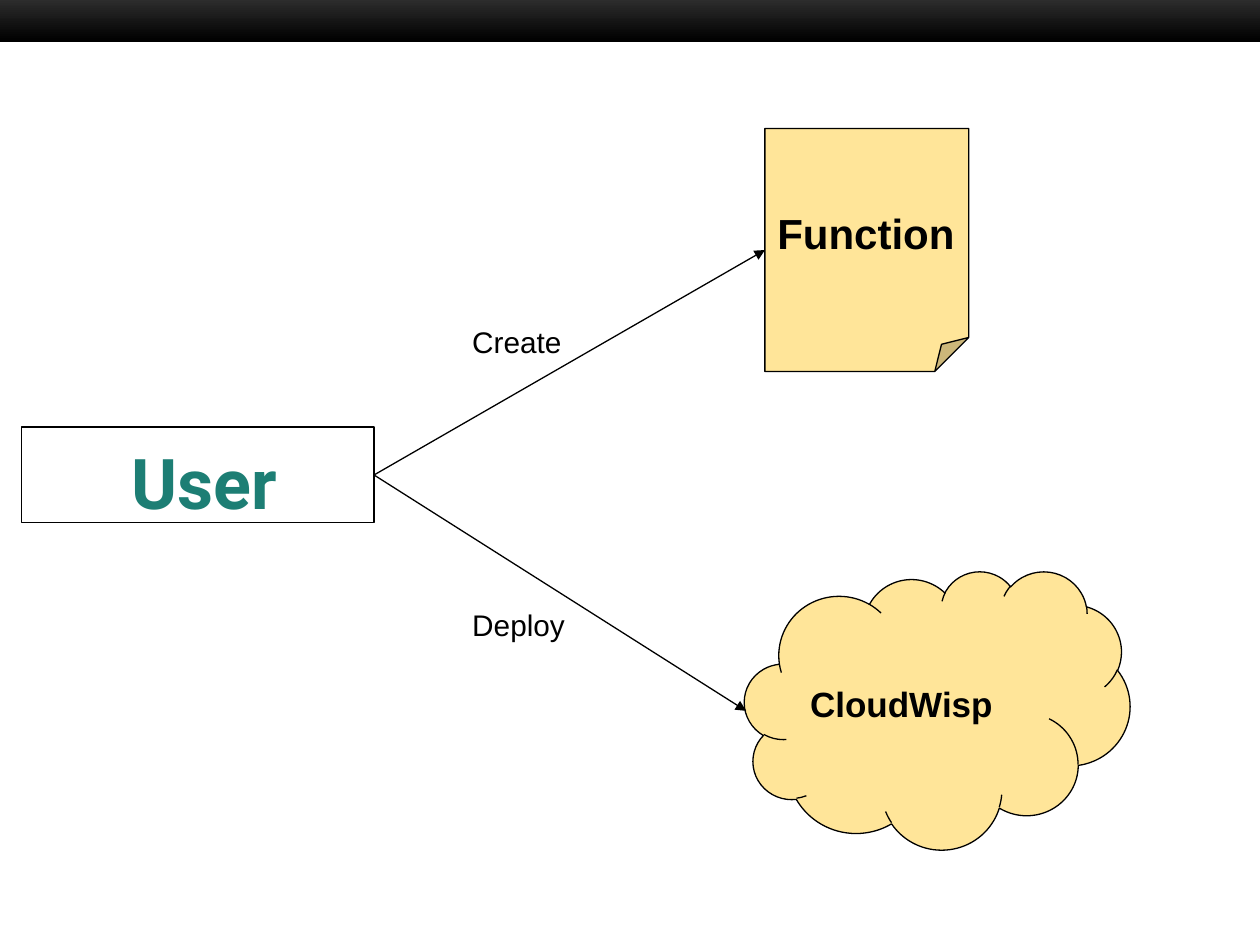
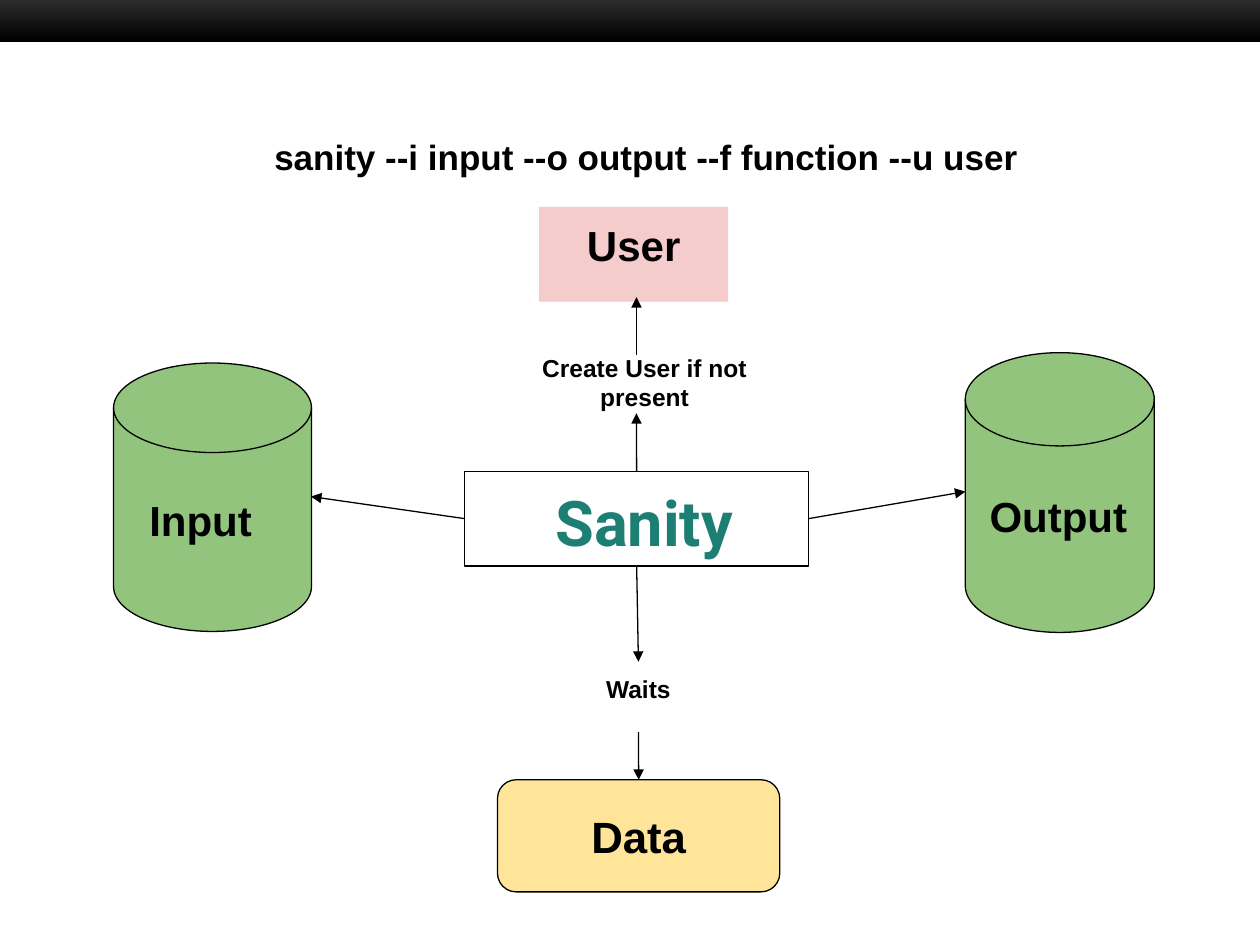
from lxml.etree import SubElement
from pptx import Presentation
from pptx.dml.color import RGBColor
from pptx.enum.shapes import MSO_CONNECTOR, MSO_SHAPE
from pptx.enum.text import MSO_ANCHOR, PP_ALIGN
from pptx.oxml.ns import qn
from pptx.util import Cm, Pt

BLACK = RGBColor(0x00, 0x00, 0x00)
WHITE = RGBColor(0xFF, 0xFF, 0xFF)
CHARCOAL = RGBColor(0x33, 0x33, 0x33)
TEAL = RGBColor(0x1D, 0x7E, 0x74)
YELLOW = RGBColor(0xFF, 0xE5, 0x99)
GREEN = RGBColor(0x93, 0xC4, 0x7D)
PINK = RGBColor(0xF4, 0xCC, 0xCC)

SLIDE_WIDTH, SLIDE_HEIGHT = 25.4, 19.05
INSET = 0.25
LINE_WIDTH = Pt(0.75)

# Connection sites of a rectangle
TOP, LEFT, BOTTOM, RIGHT = range(4)


def write_text(shape, text, size=24, bold=True, color=BLACK, font="Arial",
               align=PP_ALIGN.LEFT, anchor=MSO_ANCHOR.TOP, indent=0):
    """Fill a shape with one paragraph; indent is in centimetres."""
    frame = shape.text_frame
    frame.word_wrap = True
    frame.vertical_anchor = anchor
    frame.margin_left = Cm(INSET + indent)
    frame.margin_top = frame.margin_right = frame.margin_bottom = Cm(INSET)
    paragraph = frame.paragraphs[0]
    paragraph.alignment = align
    run = paragraph.add_run()
    run.text = text
    run.font.name = font
    run.font.size = Pt(size)
    run.font.bold = bold
    run.font.color.rgb = color


def add_box(slide, kind, place, fill=None, line=BLACK):
    """Add a preset shape; place is left, top, width, height in centimetres."""
    shape = slide.shapes.add_shape(kind, *map(Cm, place))
    shape.shadow.inherit = False
    if fill is None:
        shape.fill.background()
    else:
        shape.fill.solid()
        shape.fill.fore_color.rgb = fill
    if line is None:
        shape.line.fill.background()
    else:
        shape.line.color.rgb = line
        shape.line.width = LINE_WIDTH
    return shape


def add_node(slide, kind, place, text, fill, **text_format):
    """Add a filled shape with a vertically centred label."""
    shape = add_box(slide, kind, place, fill)
    write_text(shape, text, anchor=MSO_ANCHOR.MIDDLE, **text_format)
    return shape


def add_actor(slide, place, text, size, indent):
    """Add the outlined box that the arrows of a slide start from."""
    shape = add_box(slide, MSO_SHAPE.RECTANGLE, place)
    write_text(shape, text, size=size, color=TEAL, font="Roboto", indent=indent)
    return shape


def add_label(slide, place, text, **text_format):
    label = slide.shapes.add_textbox(*map(Cm, place))
    write_text(label, text, **text_format)
    return label


def add_arrow(slide, start, end):
    """Each end is a (shape, site) pair or an (x, y) point in centimetres."""
    points = [(0, 0) if hasattr(first, "shape_id") else (first, second)
              for first, second in (start, end)]
    arrow = slide.shapes.add_connector(
        MSO_CONNECTOR.STRAIGHT, *[Cm(value) for point in points for value in point])
    for target, connect in ((start, arrow.begin_connect), (end, arrow.end_connect)):
        if hasattr(target[0], "shape_id"):
            connect(*target)
    arrow.line.color.rgb = BLACK
    arrow.line.width = LINE_WIDTH
    SubElement(arrow.line._get_or_add_ln(), qn("a:tailEnd"), type="triangle")
    SubElement(arrow._element.spPr, qn("a:effectLst"))


def add_slide(presentation):
    """Add a blank slide with the dark gradient band along its top."""
    slide = presentation.slides.add_slide(presentation.slide_layouts[6])
    band = add_box(slide, MSO_SHAPE.RECTANGLE, (0, -0.13, SLIDE_WIDTH, 0.97), line=None)
    band.fill.gradient()
    band.fill.gradient_angle = 270
    for stop, color in zip(band.fill.gradient_stops, (CHARCOAL, BLACK)):
        stop.color.rgb = color
    return slide


def build_deployment_slide(presentation):
    slide = add_slide(presentation)

    # User and the two targets
    user = add_actor(slide, (0.43, 8.61, 7.11, 1.93), "User", size=40, indent=1.98)
    function = add_node(slide, MSO_SHAPE.FOLDED_CORNER, (15.42, 2.59, 4.11, 4.9),
                        "Function", YELLOW)
    add_node(slide, MSO_SHAPE.CLOUD, (15.01, 11.51, 7.77, 5.61),
             "CloudWisp", YELLOW, size=20)

    # Labelled arrows
    add_arrow(slide, (user, RIGHT), (function, LEFT))
    add_arrow(slide, (user, RIGHT), (15.04, 14.33))
    for top, text in ((6.27, "Create"), (11.99, "Deploy")):
        add_label(slide, (9.27, top, 3.63, 1.3), text, size=17, bold=False)


def build_sanity_slide(presentation):
    slide = add_slide(presentation)

    # Command line
    command = add_box(slide, MSO_SHAPE.RECTANGLE, (5.28, 2.49, 17.2, 4.6), line=WHITE)
    write_text(command, "sanity --i input --o output --f function --u user", size=20)

    # Tool with its input and output stores
    sanity = add_actor(slide, (9.37, 9.5, 6.93, 1.91), "Sanity", size=36, indent=1.58)
    add_node(slide, MSO_SHAPE.FLOWCHART_MAGNETIC_DISK, (2.29, 7.32, 3.99, 5.41),
             "Input", GREEN, indent=0.47)
    add_node(slide, MSO_SHAPE.FLOWCHART_MAGNETIC_DISK, (19.46, 7.11, 3.81, 5.64),
             "Output", GREEN, indent=0.24)
    add_arrow(slide, (sanity, LEFT), (6.27, 10.01))
    add_arrow(slide, (sanity, RIGHT), (19.46, 9.91))

    # Waiting for data
    data = add_node(slide, MSO_SHAPE.ROUNDED_RECTANGLE, (10.03, 15.72, 5.69, 2.26),
                    "Data", YELLOW, size=25, align=PP_ALIGN.CENTER)
    waits = add_label(slide, (11.65, 13.34, 2.44, 1.42), "Waits",
                      size=14, align=PP_ALIGN.CENTER)
    add_arrow(slide, (sanity, BOTTOM), (waits, TOP))
    add_arrow(slide, (waits, BOTTOM), (data, TOP))

    # Creating the user
    user = add_box(slide, MSO_SHAPE.RECTANGLE, (10.87, 4.17, 3.81, 1.91), PINK, line=None)
    write_text(user, "User", align=PP_ALIGN.CENTER)
    add_label(slide, (10.29, 6.86, 5.41, 1.42), "Create User if not present",
              size=14, align=PP_ALIGN.CENTER)
    add_arrow(slide, (sanity, TOP), (12.83, 8.33))
    add_arrow(slide, (12.83, 7.16), (12.83, 5.99))


def main():
    presentation = Presentation()
    presentation.slide_width = Cm(SLIDE_WIDTH)
    presentation.slide_height = Cm(SLIDE_HEIGHT)
    build_deployment_slide(presentation)
    build_sanity_slide(presentation)
    presentation.save("out.pptx")


if __name__ == "__main__":
    main()
